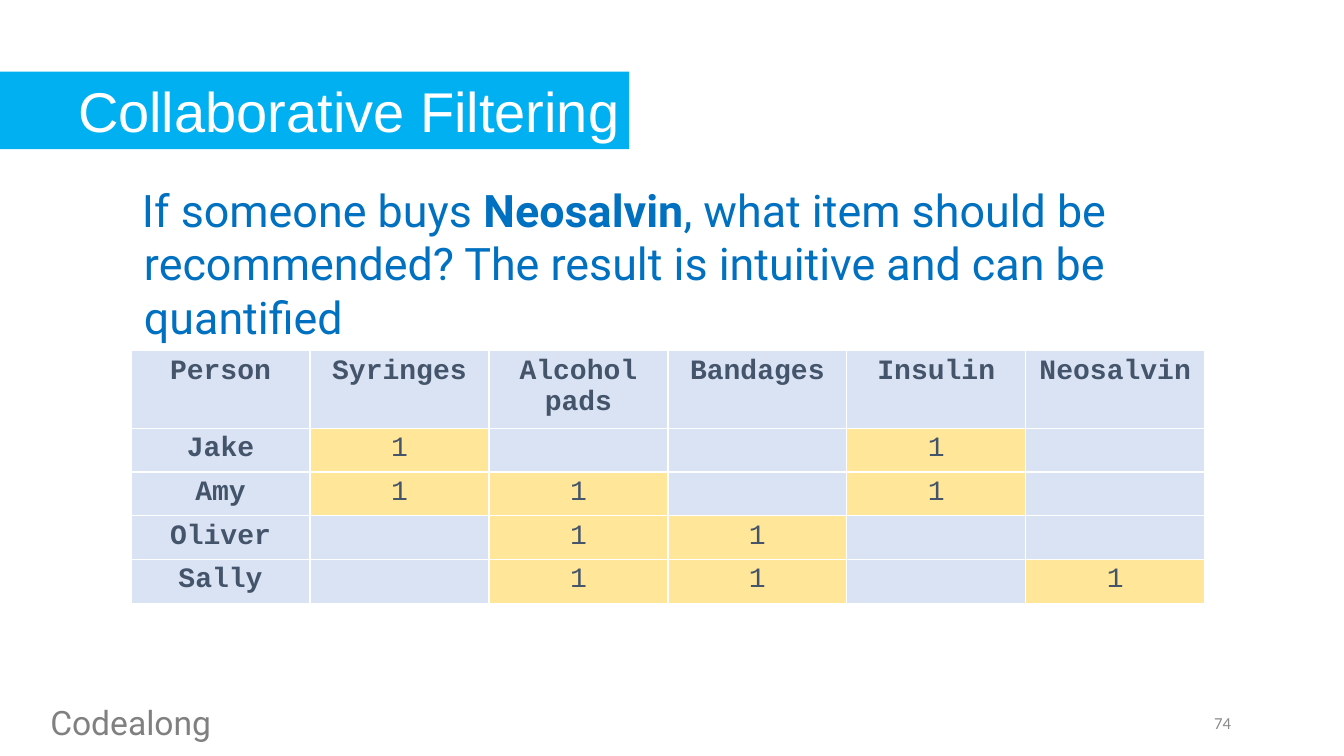
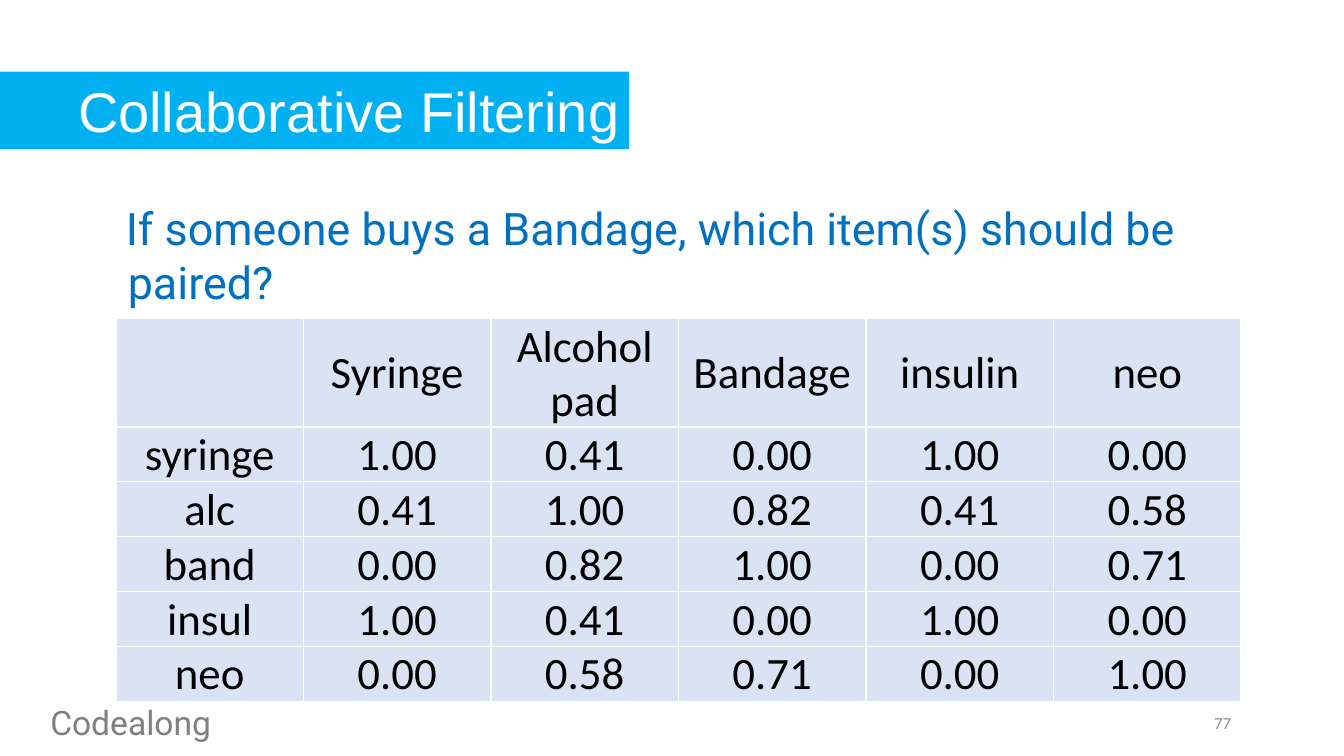
"""Build two slides on collaborative filtering, each with a question and a table."""
import lxml.etree
import pptx
import pptx.dml.color
import pptx.enum.shapes
import pptx.enum.text
import pptx.oxml.ns
import pptx.util

Inches = pptx.util.Inches
Align = pptx.enum.text.PP_ALIGN
Anchor = pptx.enum.text.MSO_ANCHOR

COLORS = {
    "band": "00B0F0",
    "title": "FFFFFF",
    "question": "0070C0",
    "footer": "808080",
    "number": "8C8C8C",
    "cell": "DAE3F3",
    "bought": "FFE699",
    "border": "FFFFFF",
    "purchase": "44546A",
    "similarity": "000000",
}

FONTS = {
    "title": {"name": "Arial", "size": pptx.util.Pt(40)},
    "question": {"name": "Roboto", "size": pptx.util.Pt(32)},
    "footer": {"name": "Roboto", "size": pptx.util.Pt(24)},
    "number": {"name": "Calibri", "size": pptx.util.Pt(12)},
    "purchase": {"name": "Courier New", "size": pptx.util.Pt(20)},
    "similarity": {"name": "Calibri", "size": pptx.util.Pt(32)},
}

PURCHASES = [
    ["Person", "Syringes", "Alcohol pads", "Bandages", "Insulin", "Neosalvin"],
    ["Jake", "1", "", "", "1", ""],
    ["Amy", "1", "1", "", "1", ""],
    ["Oliver", "", "1", "1", "", ""],
    ["Sally", "", "1", "1", "", "1"],
]

SIMILARITIES = [
    ["", "Syringe", "Alcohol pad", "Bandage", "insulin", "neo"],
    ["syringe", "1.00", "0.41", "0.00", "1.00", "0.00"],
    ["alc", "0.41", "1.00", "0.82", "0.41", "0.58"],
    ["band", "0.00", "0.82", "1.00", "0.00", "0.71"],
    ["insul", "1.00", "0.41", "0.00", "1.00", "0.00"],
    ["neo", "0.00", "0.58", "0.71", "0.00", "1.00"],
]


class Deck:
    """Hold the shared style and the current slide."""

    def __init__(self):
        self.presentation = pptx.Presentation()
        self.presentation.slide_width = Inches(13.33)
        self.presentation.slide_height = Inches(7.5)
        self.slide = None

    def color(self, name):
        return pptx.dml.color.RGBColor.from_string(COLORS[name])

    def fill(self, target, name):
        target.fill.solid()
        target.fill.fore_color.rgb = self.color(name)

    def add_runs(self, frame, runs, style, alignment=Align.LEFT, hanging=False):
        paragraph = frame.paragraphs[0]
        paragraph.alignment = alignment
        if hanging:
            properties = paragraph._p.get_or_add_pPr()
            properties.set("marL", str(Inches(0.02)))
            properties.set("indent", str(Inches(-0.02)))
        for text, bold in runs:
            run = paragraph.add_run()
            run.text = text
            for attribute, value in {**FONTS[style], "bold": bold}.items():
                setattr(run.font, attribute, value)
            run.font.color.rgb = self.color(style)

    def text(self, box, runs, style, anchor=Anchor.TOP, **layout):
        shape = self.slide.shapes.add_textbox(*map(Inches, box))
        shape.text_frame.word_wrap = True
        shape.text_frame.vertical_anchor = anchor
        self.add_runs(shape.text_frame, runs, style, **layout)

    def title(self, text):
        shape = self.slide.shapes.add_shape(
            pptx.enum.shapes.MSO_SHAPE.RECTANGLE,
            *map(Inches, (-1.02, 0.71, 7.26, 0.77)),
        )
        shape.shadow.inherit = False
        shape.line.fill.background()
        self.fill(shape, "band")
        shape.text_frame.vertical_anchor = Anchor.TOP
        self.add_runs(shape.text_frame, [(text, False)], "title", Align.RIGHT)

    def add_slide(self, number):
        self.slide = self.presentation.slides.add_slide(
            self.presentation.slide_layouts[6]
        )
        self.text((9.31, 6.97, 3, 0.4), [(number, False)], "number",
                  Anchor.MIDDLE, alignment=Align.RIGHT)
        self.text((0.4, 6.91, 9.79, 0.5), [("Codealong", False)], "footer",
                  hanging=True)
        self.title("Collaborative Filtering")

    def borders(self, cell):
        properties = cell._tc.get_or_add_tcPr()
        qualified = pptx.oxml.ns.qn
        for position, side in enumerate(("lnL", "lnR", "lnT", "lnB")):
            line = lxml.etree.Element(qualified(f"a:{side}"), w="12700")
            solid = lxml.etree.SubElement(line, qualified("a:solidFill"))
            lxml.etree.SubElement(solid, qualified("a:srgbClr"),
                                  val=COLORS["border"])
            properties.insert(position, line)

    def table(self, box, header_height, rows, style, cell_format,
              bold_labels=False, highlight=None):
        left, top, width, height = box
        table = self.slide.shapes.add_table(
            len(rows), len(rows[0]), *map(Inches, box)
        ).table
        for column in table.columns:
            column.width = Inches(width / len(rows[0]))
        for row in table.rows:
            row.height = Inches((height - header_height) / (len(rows) - 1))
        table.rows[0].height = Inches(header_height)
        for row_index, values in enumerate(rows):
            for column_index, value in enumerate(values):
                cell = table.cell(row_index, column_index)
                for attribute, setting in cell_format.items():
                    setattr(cell, attribute, setting)
                is_label = row_index == 0 or column_index == 0
                self.fill(cell, "bought" if value == highlight else "cell")
                self.borders(cell)
                if value:
                    self.add_runs(cell.text_frame,
                                  [(value, bold_labels and is_label)],
                                  style, Align.CENTER)


def main():
    deck = Deck()

    deck.add_slide("74")
    deck.table((1.3, 3.48, 10.65, 2.5), 0.77, PURCHASES, "purchase", {},
               bold_labels=True, highlight="1")
    deck.text((1.31, 1.76, 10.64, 1.72), [
        ("If someone buys ", False),
        ("Neosalvin", True),
        (", what item should be recommended? "
         "The result is intuitive and can be quantified", False),
    ], "question", hanging=True)

    deck.add_slide("77")
    compact = {
        "vertical_anchor": Anchor.MIDDLE,
        "margin_left": Inches(0.01),
        "margin_right": Inches(0.01),
        "margin_top": Inches(0.01),
        "margin_bottom": Inches(0),
    }
    deck.table((1.15, 3.16, 11.16, 3.78), 1.07, SIMILARITIES, "similarity",
               compact)
    deck.text((1.15, 1.94, 10.64, 1.18), [
        ("If someone buys a Bandage, which item(s) should be paired?", False),
    ], "question", hanging=True)

    deck.presentation.save("out.pptx")


if __name__ == "__main__":
    main()
